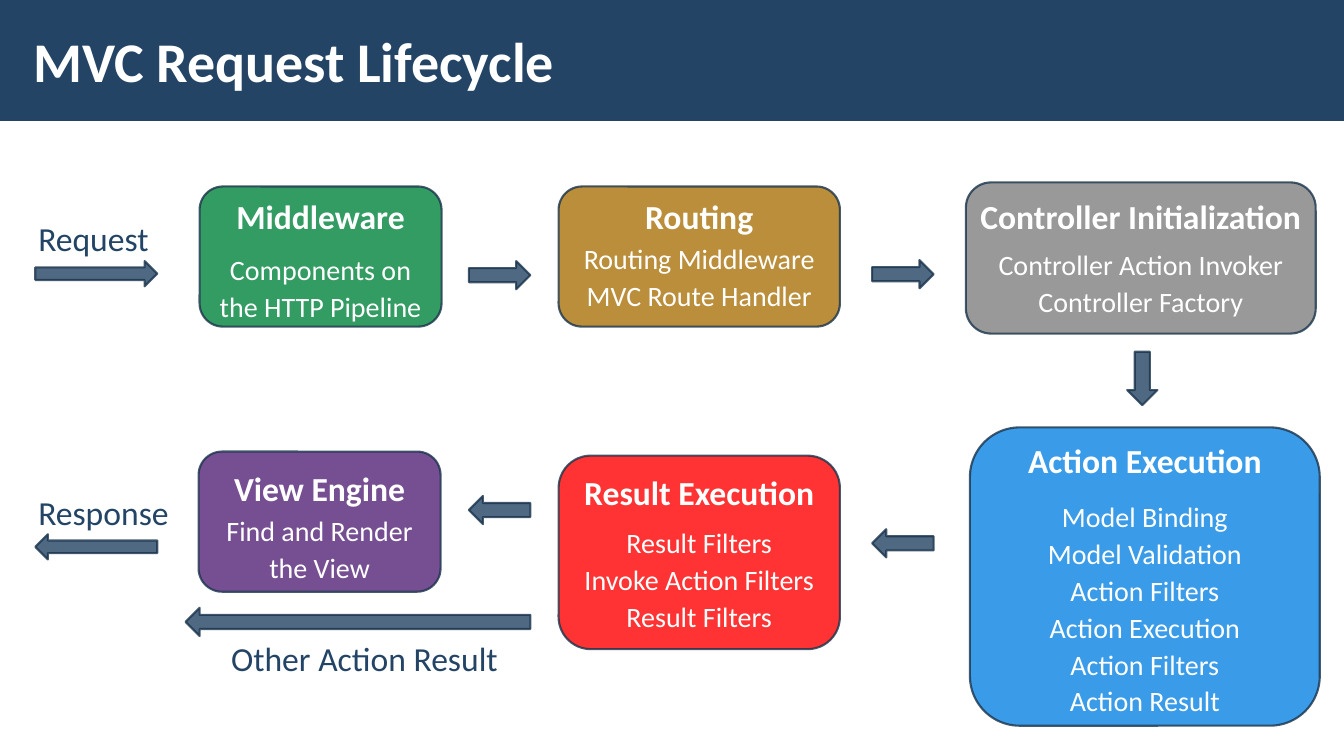
from lxml.etree import SubElement
from pptx import Presentation
from pptx.dml.color import RGBColor
from pptx.enum.shapes import MSO_SHAPE
from pptx.enum.text import MSO_ANCHOR, PP_ALIGN
from pptx.oxml.ns import qn
from pptx.util import Inches, Pt

NAVY, EDGE, WHITE = "234465", "1A334C", "FFFFFF"
RIGHT, LEFT, DOWN = MSO_SHAPE.RIGHT_ARROW, MSO_SHAPE.LEFT_ARROW, MSO_SHAPE.DOWN_ARROW
LINE_HEIGHT, INSET = 0.37, 0.12

deck = Presentation()
deck.slide_width, deck.slide_height = Inches(13.33), Inches(7.5)
slide = deck.slides.add_slide(deck.slide_layouts[6])


def draw(parent, kind, left, top, width, height, fill=NAVY):
    """Add a shape whose fill and outline are both 80 % opaque."""
    shape = parent.add_shape(kind, Inches(left), Inches(top), Inches(width), Inches(height))
    shape.shadow.inherit = False
    shape.fill.solid()
    shape.fill.fore_color.rgb = RGBColor.from_string(fill)
    shape.line.color.rgb = RGBColor.from_string(EDGE)
    shape.line.width = Pt(1.5)
    for color in shape.element.spPr.iter(qn("a:srgbClr")):
        SubElement(color, qn("a:alpha"), val="80000")


def write(parent, text, left, top, width, height=0.66, size=24, color=NAVY, bold=False,
          align=PP_ALIGN.CENTER, anchor=MSO_ANCHOR.TOP, spacing=1.1, inset_x=0.16, inset_y=INSET):
    box = parent.add_textbox(Inches(left), Inches(top), Inches(width), Inches(height))
    frame = box.text_frame
    frame.word_wrap = True
    frame.vertical_anchor = anchor
    frame.margin_left = frame.margin_right = Inches(inset_x)
    frame.margin_top = frame.margin_bottom = Inches(inset_y)
    for number, line in enumerate(text.split("\n")):
        para = frame.add_paragraph() if number else frame.paragraphs[0]
        para.alignment = align
        para.line_spacing = spacing
        span = para.add_run()
        span.text = line
        span.font.name = "Calibri"
        span.font.size = Pt(size)
        span.font.bold = bold
        span.font.color.rgb = RGBColor.from_string(color)


# Title band
band = slide.shapes.add_shape(MSO_SHAPE.RECTANGLE, 0, 0, deck.slide_width, Inches(1.2))
band.shadow.inherit = False
band.fill.solid()
band.fill.fore_color.rgb = RGBColor.from_string(NAVY)
band.line.fill.background()
write(slide.shapes, "MVC Request Lifecycle", 0.21, 0.11, 10.4, 0.97, size=40, color=WHITE, bold=True,
      align=PP_ALIGN.LEFT, anchor=MSO_ANCHOR.MIDDLE, spacing=1.0, inset_x=0.12, inset_y=0.04)

# Stages: left, top, width, height, fill, heading, heading top, details, details top
stages = [
    (1.98, 1.85, 2.40, 1.39, "00843C", "Middleware", 1.78,
     "Components on the HTTP Pipeline", 2.35),
    (5.54, 1.85, 2.79, 1.39, "A97209", "Routing", 1.78,
     "Routing Middleware\nMVC Route Handler", 2.24),
    (9.58, 1.81, 3.47, 1.50, "808080", "Controller Initialization", 1.78,
     "Controller Action Invoker\nController Factory", 2.30),
    (9.62, 4.24, 3.47, 2.96, "0984E4", "Action Execution", 4.20,
     "Model Binding\nModel Validation\nAction Filters\nAction Execution\nAction Filters\nAction Result", 4.80),
    (5.54, 4.52, 2.79, 1.92, "FF0000", "Result Execution", 4.52,
     "Result Filters\nInvoke Action Filters\nResult Filters", 5.06),
    (1.97, 4.48, 2.40, 1.39, "542478", "View Engine", 4.48,
     "Find and Render\nthe View", 4.94),
]
for left, top, width, height, fill, heading, heading_top, details, details_top in stages:
    stage = slide.shapes.add_group_shape().shapes
    draw(stage, MSO_SHAPE.ROUNDED_RECTANGLE, left, top, width, height, fill)
    write(stage, heading, left - 0.05, heading_top, width + 0.1, color=WHITE, bold=True)
    lines = max(2, len(details.split("\n")))
    write(stage, details, left + 0.02, details_top, width - 0.04, lines * LINE_HEIGHT + 2 * INSET,
          size=20, color=WHITE)

# Arrows between the stages
first_gap, second_gap, gap_width, arrow_height = 4.65, 8.65, 0.61, 0.28
for kind, left, top in [(RIGHT, first_gap, 2.59), (RIGHT, second_gap, 2.58),
                        (LEFT, second_gap, 5.25), (LEFT, first_gap, 4.92)]:
    draw(slide.shapes, kind, left, top, gap_width, arrow_height)
draw(slide.shapes, DOWN, 11.18, 3.49, 0.3, 0.53)
draw(slide.shapes, LEFT, 1.84, 6.03, 3.42, arrow_height)
write(slide.shapes, "Other Action Result", 1.97, 6.17, 3.29)

# Request enters and response leaves on the left edge
for label, kind, label_top, arrow_top in [("Request", RIGHT, 2.0, 2.59), ("Response", LEFT, 4.72, 5.3)]:
    write(slide.shapes, label, 0.22, label_top, 1.64, align=PP_ALIGN.LEFT)
    draw(slide.shapes, kind, 0.35, arrow_top, 1.21, 0.25)

deck.save("out.pptx")
